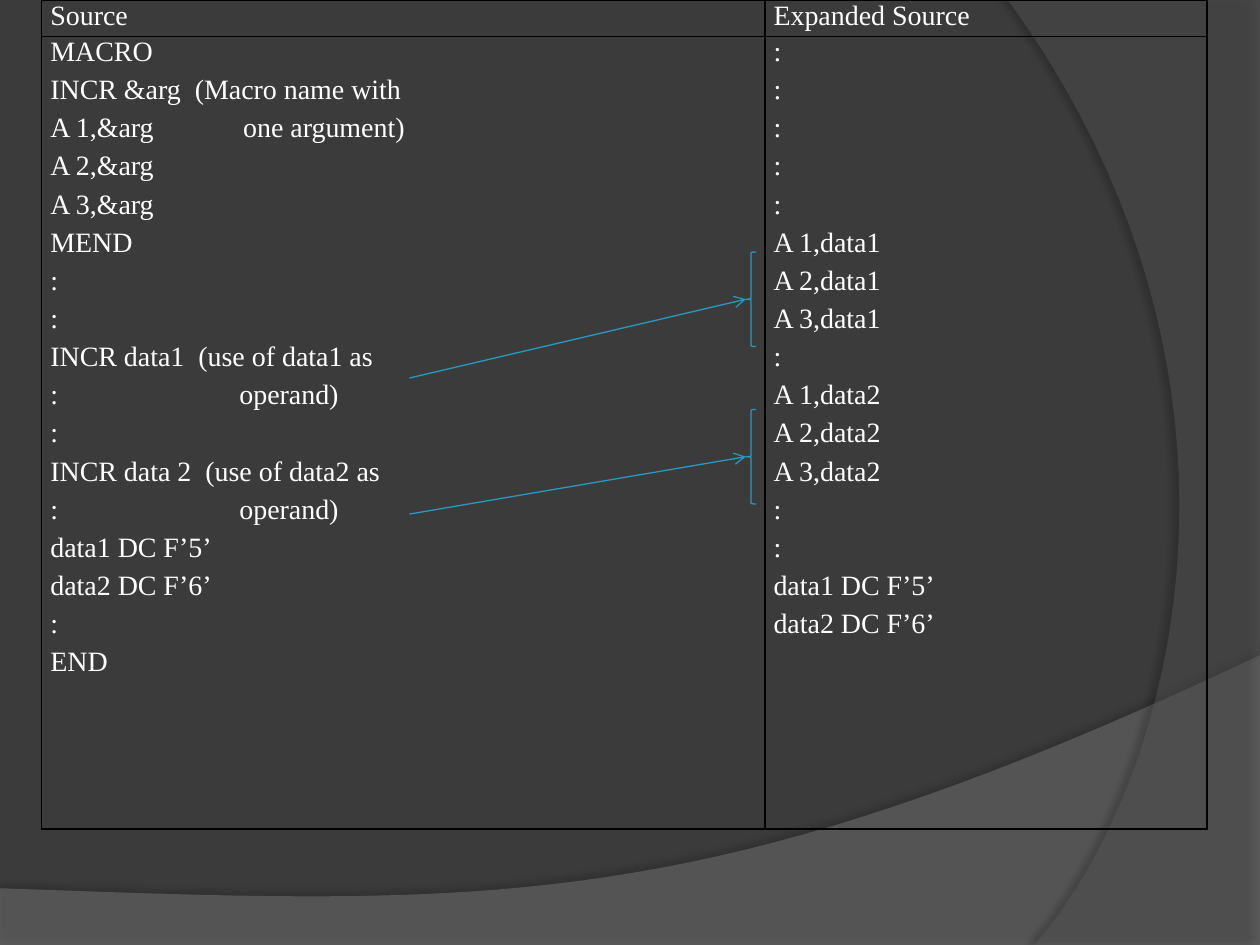
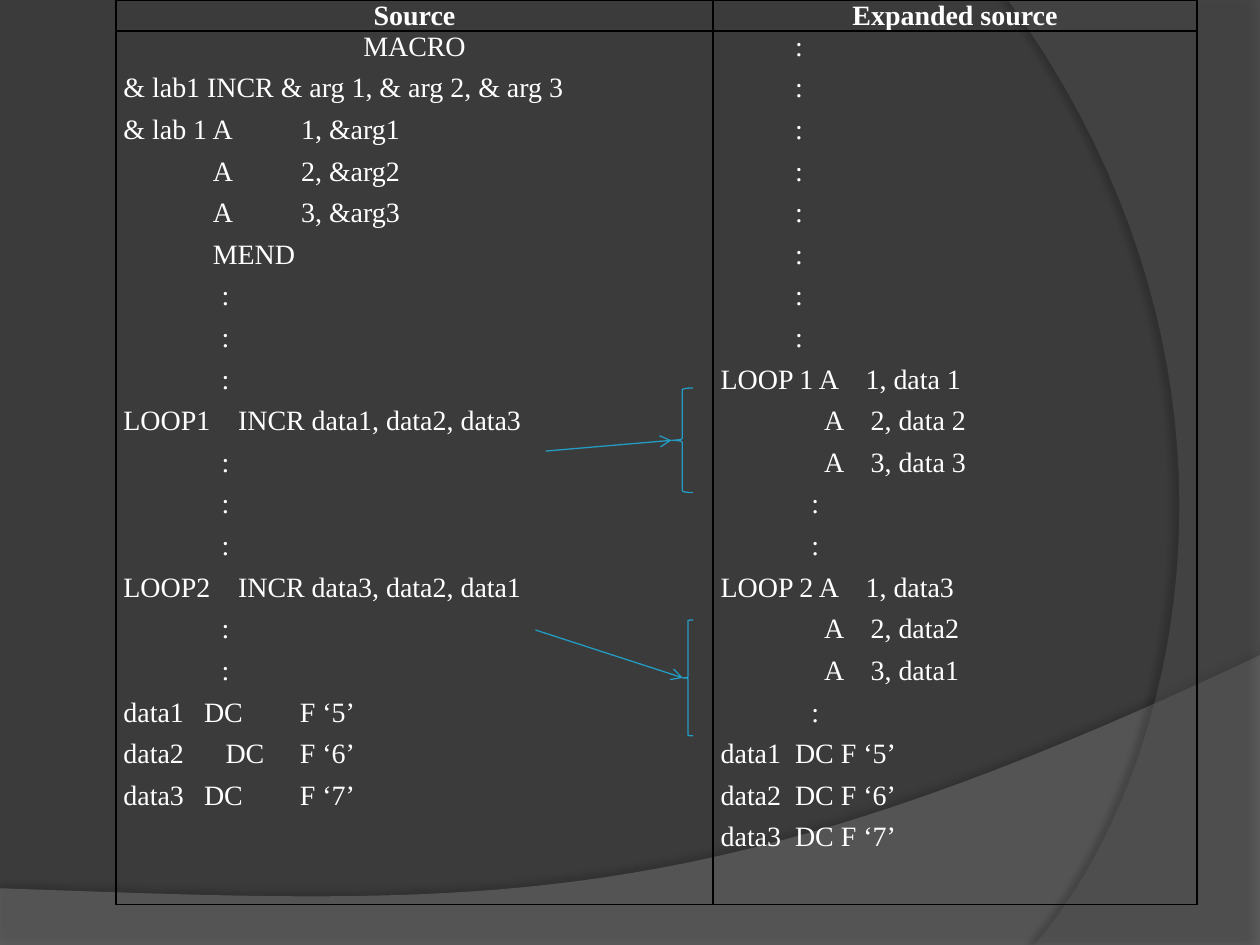
"""Build two slides that compare macro source code with its expansion."""
from lxml import etree
from pptx import Presentation
from pptx import util as u
from pptx.dml.color import RGBColor
from pptx.enum import shapes, text
from pptx.oxml import ns

Inches = u.Inches
BACKDROP = RGBColor(0x3B, 0x3B, 0x3B)
HILL = RGBColor(0x7F, 0x7F, 0x7F)
ARC = RGBColor(0x5E, 0x5E, 0x5E)
WHITE = RGBColor(0xFF, 0xFF, 0xFF)
ACCENT = RGBColor(0x23, 0x9B, 0xC2)
BORDER = "000000"
FONT = "Times New Roman"

HILL_CURVE = [(10, 5.2), (5.59, 7.29), (3.91, 7.19), (0, 7.05)]
ARC_CURVE = [(8.21, 7.5), (9.35, 6.19), (10.18, 3), (8, 0)]
SWEEPS = [
    (HILL_CURVE, [(0, 7.5), (10, 7.5)], HILL, 45, 35, 3.5, 270),
    (ARC_CURVE, [(10, 0), (10, 7.5)], ARC, 40, 45, 4, 180),
]

COLON = (":",)
LEFT_COLON = (":", 0.78)
EARLY_COLON = (":", 0.59)
LATE_COLON = (":", 0.72)
OPERAND = (":\toperand)", 1.5)
OPCODE_STOPS = (0.71, 1.41)
EXPANDED_STOPS = (0.82, 1.19)

one_argument_source = [
    ("MACRO",), ("INCR &arg  (Macro name with",), ("A 1,&arg\tone argument)", 1.53),
    ("A 2,&arg",), ("A 3,&arg",), ("MEND",), COLON, COLON,
    ("INCR data1  (use of data1 as",), OPERAND, COLON,
    ("INCR data 2  (use of data2 as",), OPERAND,
    ("data1 DC F’5’",), ("data2 DC F’6’",), COLON, ("END",),
]
one_argument_expanded = [
    *[COLON] * 5, *[(f"A {n},data1",) for n in (1, 2, 3)],
    COLON, *[(f"A {n},data2",) for n in (1, 2, 3)],
    COLON, COLON, ("data1 DC F’5’",), ("data2 DC F’6’",),
]
labelled_source = [
    ("MACRO",), ("& lab1 INCR & arg 1, & arg 2, & arg 3",),
    ("& lab 1 A\t1, &arg1", 1.41), ("\tA\t2, &arg2", *OPCODE_STOPS),
    ("\tA\t3, &arg3", *OPCODE_STOPS), ("MEND", 0.71), *[LEFT_COLON] * 3,
    ("LOOP1\tINCR data1, data2, data3", 0.91), *[LEFT_COLON] * 3,
    ("LOOP2\tINCR data3, data2, data1", 0.91), *[LEFT_COLON] * 2,
    ("data1\tDC\tF ‘5’", 0.64, 1.4), ("data2\tDC\tF ‘6’", 0.81, 1.4),
    ("data3\tDC\tF ‘7’", 0.64, 1.4),
]
labelled_expanded = [
    *[EARLY_COLON] * 8, ("LOOP 1 A\t1, data 1", 1.15),
    ("\tA\t2, data 2", *EXPANDED_STOPS), ("\tA\t3, data 3", *EXPANDED_STOPS),
    LATE_COLON, LATE_COLON, ("LOOP 2 A\t1, data3", 1.15),
    ("\tA\t2, data2", *EXPANDED_STOPS), ("\tA\t3, data1", *EXPANDED_STOPS), LATE_COLON,
    ("data1  DC F ‘5’",), ("data2  DC F ‘6’",), ("data3  DC F ‘7’",),
]

COMPARISONS = [
    dict(left=0.33, columns=(5.74, 3.51), rows=(0.29, 6.29), inset=0.07, gap=2,
         align=text.PP_ALIGN.JUSTIFY, bold=False,
         cells=[[[("Source",)], [("Expanded Source",)]],
                [one_argument_source, one_argument_expanded]],
         calls=[((5.92, 2, 0.08, 0.75), (3.25, 3)),
                ((5.92, 3.25, 0.08, 0.75), (3.25, 4.08))]),
    dict(left=0.92, columns=(4.74, 3.84), rows=(0.23, 6.93), inset=0.06, gap=3,
         align=text.PP_ALIGN.LEFT, bold=True,
         cells=[[[("Source",)], [("Expanded source",)]],
                [labelled_source, labelled_expanded]],
         calls=[((5.33, 3.08, 0.17, 0.83), (4.33, 3.58)),
                ((5.42, 4.92, 0.08, 0.92), (4.25, 5))]),
]


def add_xml(parent, tag, **attributes):
    return etree.SubElement(parent, ns.qn(tag), {k: str(v) for k, v in attributes.items()})


def write_lines(cell, lines, align, gap, bold):
    frame = cell.text_frame
    for index, (words, *stops) in enumerate(lines):
        line = frame.add_paragraph() if index else frame.paragraphs[0]
        line.text = words
        line.alignment = text.PP_ALIGN.CENTER if bold or words == "MACRO" and gap == 3 else align
        line.space_before = u.Pt(gap if index else 0)
        line.space_after = u.Pt(gap)
        properties = line._p.get_or_add_pPr()
        if "\t" in words:
            tabs = add_xml(properties, "a:tabLst")
            for stop in stops:
                add_xml(tabs, "a:tab", pos=Inches(stop), algn="l")
        elif stops:
            properties.set("marL", str(Inches(stops[0])))
            properties.set("indent", "0")
        line.font.name, line.font.size, line.font.bold = FONT, u.Pt(16), bold
        line.font.color.rgb = WHITE


prs = Presentation()
prs.slide_width, prs.slide_height = Inches(10), Inches(7.5)

for comparison in COMPARISONS:
    slide = prs.slides.add_slide(prs.slide_layouts[6])
    slide.background.fill.solid()
    slide.background.fill.fore_color.rgb = BACKDROP

    for curve, corners, colour, opacity, shade, distance, direction in SWEEPS:
        outline = []
        for step in range(41):
            t = step / 40
            weights = ((1 - t) ** 3, 3 * t * (1 - t) ** 2, 3 * t * t * (1 - t), t ** 3)
            outline.append([sum(w * point[axis] for w, point in zip(weights, curve))
                            for axis in (0, 1)])
        points = [(Inches(x), Inches(y)) for x, y in outline + corners]
        builder = slide.shapes.build_freeform(*points[0])
        builder.add_line_segments(points[1:], close=True)
        sweep = builder.convert_to_shape()
        sweep.fill.solid()
        sweep.fill.fore_color.rgb = colour
        tint = sweep._element.spPr.find(".//" + ns.qn("a:srgbClr"))
        add_xml(tint, "a:alpha", val=opacity * 1000)
        sweep.line.fill.background()
        sweep.shadow.inherit = False
        effects = sweep._element.spPr.find(ns.qn("a:effectLst"))
        shadow = add_xml(effects, "a:outerShdw", blurRad=u.Pt(4), dist=u.Pt(distance),
                         dir=direction * 60000, algn="ctr", rotWithShape=0)
        add_xml(add_xml(shadow, "a:srgbClr", val="000000"), "a:alpha", val=shade * 1000)

    columns, rows = comparison["columns"], comparison["rows"]
    listing = slide.shapes.add_table(2, 2, Inches(comparison["left"]), 0,
                                     Inches(sum(columns)), Inches(sum(rows))).table
    listing.first_row = listing.horz_banding = False
    for index in (0, 1):
        listing.columns[index].width = Inches(columns[index])
        listing.rows[index].height = Inches(rows[index])
    for row, entries in enumerate(comparison["cells"]):
        for column, lines in enumerate(entries):
            cell = listing.cell(row, column)
            cell.margin_left = cell.margin_right = Inches(comparison["inset"])
            cell.margin_top = cell.margin_bottom = 0
            for side in ("a:lnL", "a:lnR", "a:lnT", "a:lnB"):
                edge = add_xml(cell._tc.get_or_add_tcPr(), side, w=u.Pt(1))
                add_xml(add_xml(edge, "a:solidFill"), "a:srgbClr", val=BORDER)
            cell.fill.background()
            write_lines(cell, lines, comparison["align"], comparison["gap"],
                        comparison["bold"] and row == 0)

    for place, start in comparison["calls"]:
        brace = slide.shapes.add_shape(shapes.MSO_SHAPE.LEFT_BRACE, *map(Inches, place))
        brace.shadow.inherit = False
        brace.fill.background()
        arrow = slide.shapes.add_connector(shapes.MSO_CONNECTOR.STRAIGHT,
                                           *map(Inches, start), *map(Inches, start))
        arrow.end_connect(brace, 1)
        for stroke in (brace.line, arrow.line):
            stroke.color.rgb = ACCENT
            stroke.width = u.Pt(0.75)
        add_xml(arrow.line._get_or_add_ln(), "a:tailEnd", type="arrow")
        add_xml(arrow._element.spPr, "a:effectLst")

prs.save("out.pptx")
